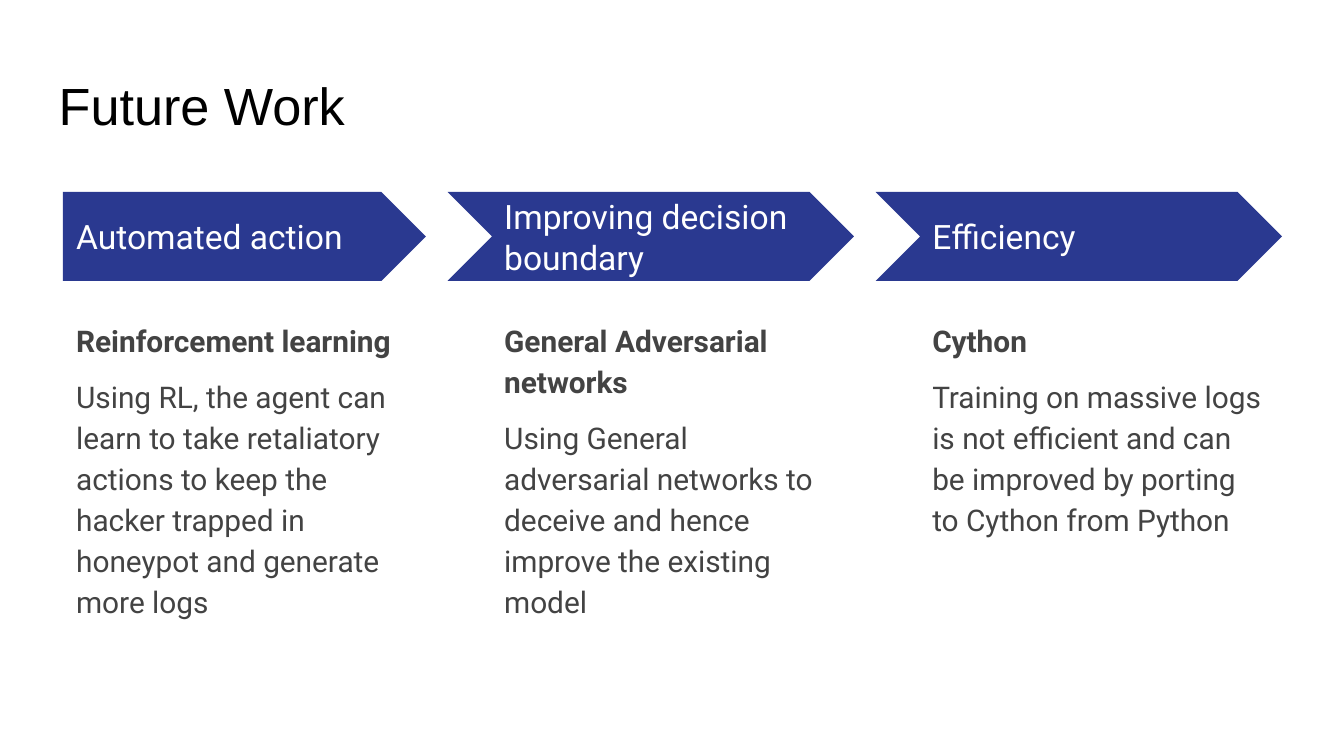
from dataclasses import dataclass

from pptx import Presentation
from pptx.dml.color import RGBColor
from pptx.enum.shapes import MSO_SHAPE
from pptx.enum.text import MSO_ANCHOR, PP_ALIGN
from pptx.util import Cm, Pt


@dataclass(frozen=True)
class Theme:
    banner = RGBColor(0x2A, 0x39, 0x90)
    title = dict(name="Arial", size=Pt(28), color=RGBColor(0, 0, 0))
    heading = dict(name="Roboto", size=Pt(18), color=RGBColor(255, 255, 255))
    body = dict(name="Roboto", size=Pt(16), color=RGBColor(0x43, 0x43, 0x43))
    subheading = dict(body, bold=True)


THEME = Theme()
INSET = Cm(0.25)

DIRECTIONS = [
    ("Automated action", "Reinforcement learning",
     "Using RL, the agent can learn to take retaliatory actions to keep the "
     "hacker trapped in honeypot and generate more logs"),
    ("Improving decision boundary", "General Adversarial networks",
     "Using General adversarial networks to deceive and hence improve the "
     "existing model"),
    ("Efficiency", "Cython",
     "Training on massive logs is not efficient and can be improved by "
     "porting to Cython from Python"),
]


def add_text(slide, box, paragraphs, anchor=MSO_ANCHOR.TOP, spacing=1.0):
    """Place (text, font format) paragraphs in a box of left, top, width, height."""
    frame = slide.shapes.add_textbox(*box).text_frame
    settings = dict(word_wrap=True, vertical_anchor=anchor, margin_left=INSET,
                    margin_top=INSET, margin_right=INSET, margin_bottom=INSET)
    for key, value in settings.items():
        setattr(frame, key, value)
    for index, (text, font_format) in enumerate(paragraphs):
        paragraph = frame.add_paragraph() if index else frame.paragraphs[0]
        paragraph.alignment = PP_ALIGN.LEFT
        paragraph.line_spacing = spacing
        if index:
            paragraph.space_before = Pt(8)
        run = paragraph.add_run()
        run.text = text
        for key, value in font_format.items():
            if key == "color":
                run.font.color.rgb = value
            else:
                setattr(run.font, key, value)


def add_direction(slide, box, direction, is_first):
    """One column: an arrow banner with its heading, and the details below."""
    left, top, width, height = box
    heading, subheading, details = direction

    # Arrow banner; the notched ones reach back towards the previous arrow
    kind = MSO_SHAPE.PENTAGON if is_first else MSO_SHAPE.CHEVRON
    reach = 0 if is_first else Cm(0.82)
    banner = slide.shapes.add_shape(kind, left - reach, top, width + reach, Cm(1.68))
    banner.shadow.inherit = False
    banner.adjustments[0] = 0.5
    banner.fill.solid()
    banner.fill.fore_color.rgb = THEME.banner
    banner.line.fill.background()

    # Heading over the banner
    add_text(slide, (left, top + Cm(0.41), Cm(6.27), Cm(0.86)),
             [(heading, THEME.heading)], anchor=MSO_ANCHOR.MIDDLE)

    # Details
    offset = Cm(2.11)
    add_text(slide, (left, top + offset, width, height - offset),
             [(subheading, THEME.subheading), (details, THEME.body)], spacing=1.15)


def build_future_work(slide, box):
    left, top, width, height = box

    # Title
    add_text(slide, (left, top, width, Cm(1.68)), [("Future Work", THEME.title)])

    # Columns at an equal pitch
    pitch, drop = Cm(8.09), Cm(2.49)
    for index, direction in enumerate(DIRECTIONS):
        column = (left + Cm(0.33) + index * pitch, top + drop, Cm(6.86), height - drop)
        add_direction(slide, column, direction, is_first=index == 0)


def main():
    deck = Presentation()
    deck.slide_width, deck.slide_height = Cm(25.4), Cm(14.29)
    slide = deck.slides.add_slide(deck.slide_layouts[6])
    build_future_work(slide, (Cm(0.86), Cm(1.14), Cm(23.67), Cm(11.97)))
    deck.save("out.pptx")


if __name__ == "__main__":
    main()
